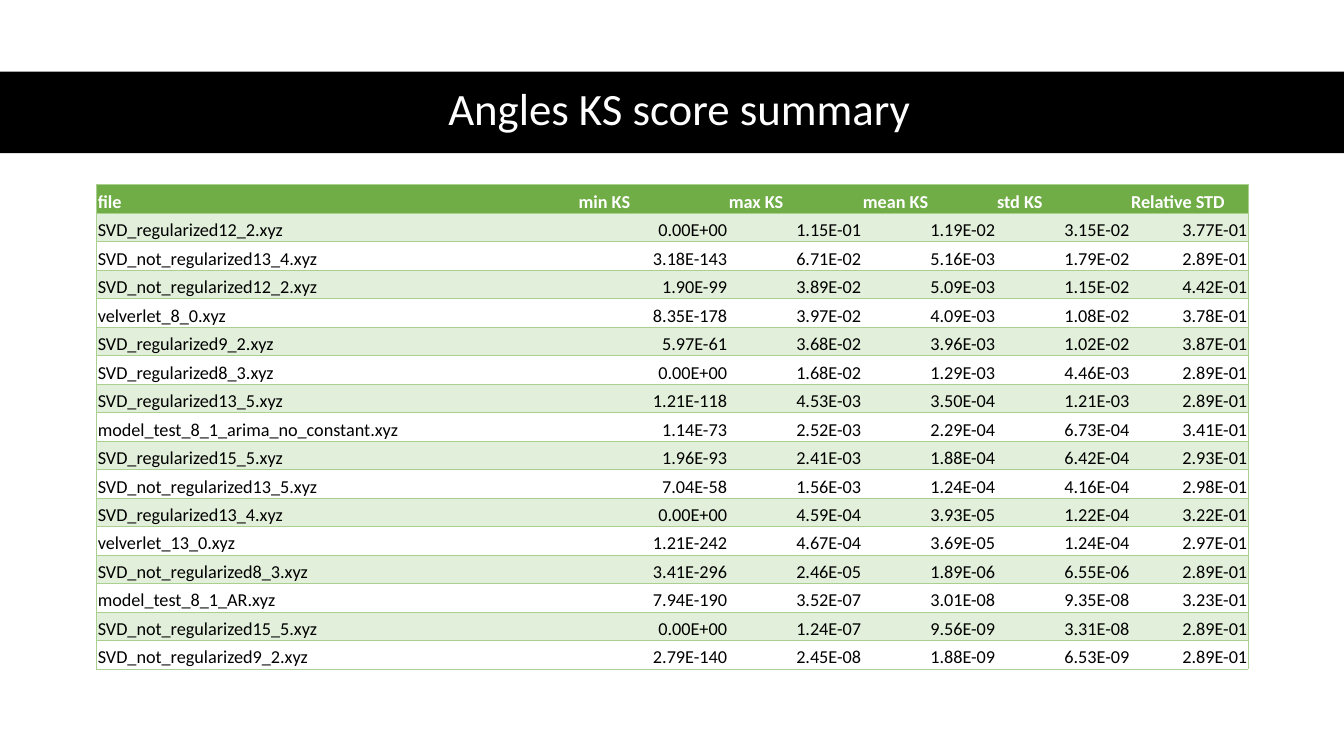
from lxml.etree import SubElement
from pptx import Presentation
from pptx.dml.color import RGBColor
from pptx.enum.shapes import MSO_SHAPE
from pptx.enum.text import MSO_ANCHOR, PP_ALIGN
from pptx.oxml.ns import qn
from pptx.util import Pt

PX = 9144
FONT = "Calibri"
BLACK = RGBColor(0x00, 0x00, 0x00)
WHITE = RGBColor(0xFF, 0xFF, 0xFF)
HEADER_GREEN = RGBColor(0x70, 0xAD, 0x47)
BAND_GREEN = RGBColor(0xE2, 0xEF, 0xDA)
RULE_GREEN = RGBColor(0xA9, 0xD0, 0x8E)

COLUMN_WIDTHS = [477, 149, 133, 133, 133, 117]
TABLE_HEIGHT = 481
HEADINGS = ["file", "min KS", "max KS", "mean KS", "std KS", "Relative STD"]
SCORES = [
    ["SVD_regularized12_2.xyz", "0.00E+00", "1.15E-01", "1.19E-02", "3.15E-02", "3.77E-01"],
    ["SVD_not_regularized13_4.xyz", "3.18E-143", "6.71E-02", "5.16E-03", "1.79E-02", "2.89E-01"],
    ["SVD_not_regularized12_2.xyz", "1.90E-99", "3.89E-02", "5.09E-03", "1.15E-02", "4.42E-01"],
    ["velverlet_8_0.xyz", "8.35E-178", "3.97E-02", "4.09E-03", "1.08E-02", "3.78E-01"],
    ["SVD_regularized9_2.xyz", "5.97E-61", "3.68E-02", "3.96E-03", "1.02E-02", "3.87E-01"],
    ["SVD_regularized8_3.xyz", "0.00E+00", "1.68E-02", "1.29E-03", "4.46E-03", "2.89E-01"],
    ["SVD_regularized13_5.xyz", "1.21E-118", "4.53E-03", "3.50E-04", "1.21E-03", "2.89E-01"],
    ["model_test_8_1_arima_no_constant.xyz", "1.14E-73", "2.52E-03", "2.29E-04", "6.73E-04", "3.41E-01"],
    ["SVD_regularized15_5.xyz", "1.96E-93", "2.41E-03", "1.88E-04", "6.42E-04", "2.93E-01"],
    ["SVD_not_regularized13_5.xyz", "7.04E-58", "1.56E-03", "1.24E-04", "4.16E-04", "2.98E-01"],
    ["SVD_regularized13_4.xyz", "0.00E+00", "4.59E-04", "3.93E-05", "1.22E-04", "3.22E-01"],
    ["velverlet_13_0.xyz", "1.21E-242", "4.67E-04", "3.69E-05", "1.24E-04", "2.97E-01"],
    ["SVD_not_regularized8_3.xyz", "3.41E-296", "2.46E-05", "1.89E-06", "6.55E-06", "2.89E-01"],
    ["model_test_8_1_AR.xyz", "7.94E-190", "3.52E-07", "3.01E-08", "9.35E-08", "3.23E-01"],
    ["SVD_not_regularized15_5.xyz", "0.00E+00", "1.24E-07", "9.56E-09", "3.31E-08", "2.89E-01"],
    ["SVD_not_regularized9_2.xyz", "2.79E-140", "2.45E-08", "1.88E-09", "6.53E-09", "2.89E-01"],
]


def px(*lengths):
    return [length * PX for length in lengths]


def style_font(font, size, color, bold=False):
    font.name = FONT
    font.size = Pt(size)
    font.bold = bold
    font.color.rgb = color


def add_band(slide, *box):
    band = slide.shapes.add_shape(MSO_SHAPE.RECTANGLE, *px(*box))
    band.shadow.inherit = False
    band.fill.solid()
    band.fill.fore_color.rgb = BLACK
    band.line.fill.background()


def add_title(slide, wording, *box):
    frame = slide.shapes.add_textbox(*px(*box)).text_frame
    frame.word_wrap = True
    frame.vertical_anchor = MSO_ANCHOR.MIDDLE
    frame.text = wording
    title = frame.paragraphs[0]
    title.alignment = PP_ALIGN.CENTER
    title.line_spacing = 0.9
    style_font(title.runs[0].font, 32, WHITE)


def set_borders(cell, ruled_sides):
    properties = cell._tc.get_or_add_tcPr()
    for side in "LRTB":
        edge = SubElement(properties, qn(f"a:ln{side}"), w=str(Pt(0.5)))
        if side in ruled_sides:
            fill = SubElement(edge, qn("a:solidFill"))
            SubElement(fill, qn("a:srgbClr"), val=str(RULE_GREEN))
        else:
            SubElement(edge, qn("a:noFill"))


def fill_cell(cell, wording, color, background, bold, alignment):
    cell.margin_left = cell.margin_right = cell.margin_top = PX
    cell.margin_bottom = 0
    cell.vertical_anchor = MSO_ANCHOR.BOTTOM
    if background is None:
        cell.fill.background()
    else:
        cell.fill.solid()
        cell.fill.fore_color.rgb = background
    cell.text_frame.text = wording
    entry = cell.text_frame.paragraphs[0]
    entry.alignment = alignment
    style_font(entry.runs[0].font, 13, color, bold)


def add_score_table(slide, left, top):
    rows = [HEADINGS] + SCORES
    last_column = len(HEADINGS) - 1
    table = slide.shapes.add_table(
        len(rows), len(HEADINGS), *px(left, top, sum(COLUMN_WIDTHS), TABLE_HEIGHT)
    ).table
    table.first_row = False
    table.horz_banding = False
    for column, width in zip(table.columns, px(*COLUMN_WIDTHS)):
        column.width = width
    for r, row in enumerate(rows):
        table.rows[r].height = TABLE_HEIGHT * PX // len(rows)
        is_header = r == 0
        background = HEADER_GREEN if is_header else BAND_GREEN if r % 2 else None
        for c, wording in enumerate(row):
            cell = table.cell(r, c)
            set_borders(cell, "TB" + "L" * (c == 0) + "R" * (c == last_column))
            alignment = PP_ALIGN.LEFT if is_header or c == 0 else PP_ALIGN.RIGHT
            color = WHITE if is_header else BLACK
            fill_cell(cell, wording, color, background, is_header, alignment)


def main():
    deck = Presentation()
    deck.slide_width, deck.slide_height = px(1333, 750)
    slide = deck.slides.add_slide(deck.slide_layouts[6])
    add_band(slide, 0, 71, 1333, 81)
    add_title(slide, "Angles KS score summary", 61, 70, 1226, 81)
    add_score_table(slide, 96, 183)
    deck.save("out.pptx")


if __name__ == "__main__":
    main()
